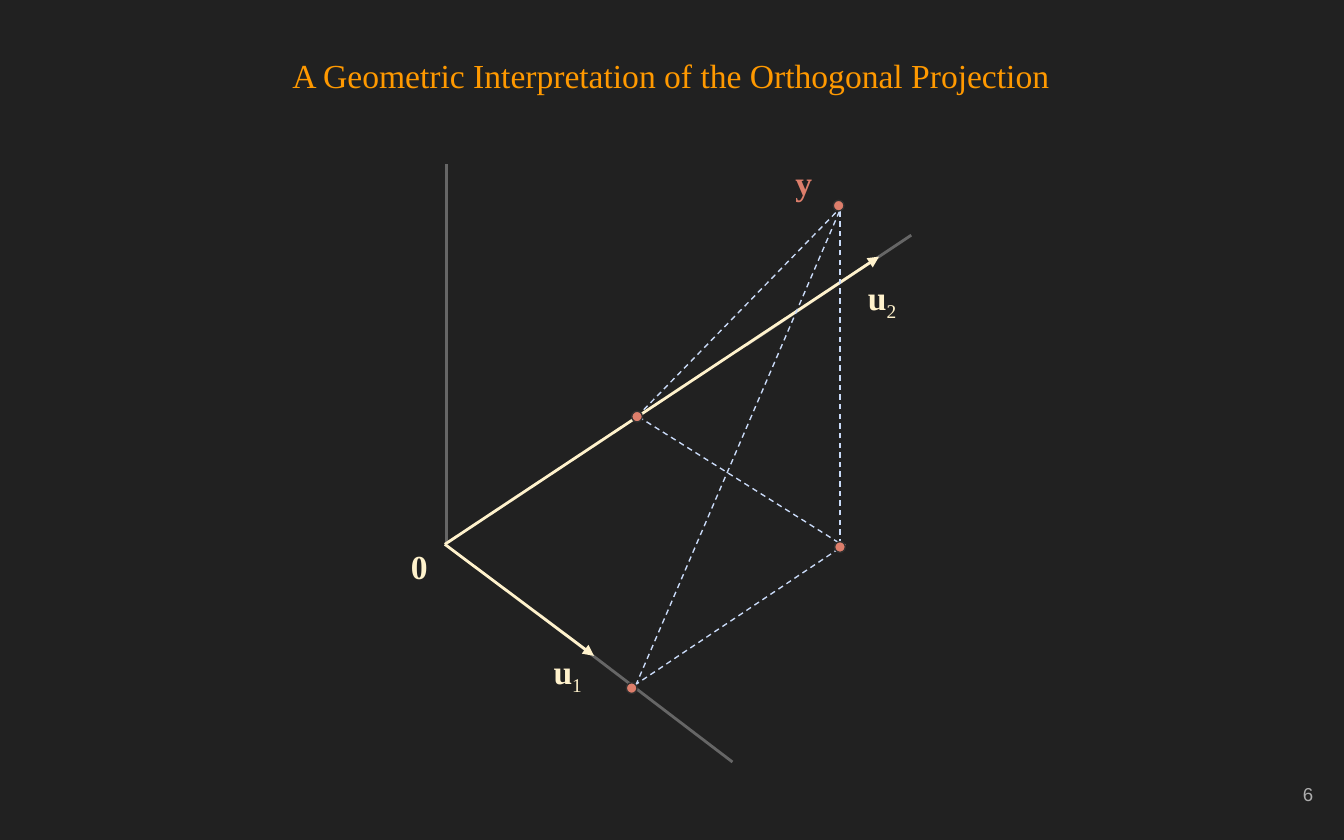
from pptx import Presentation
from pptx.dml.color import RGBColor
from pptx.enum.dml import MSO_LINE
from pptx.enum.shapes import MSO_CONNECTOR, MSO_SHAPE
from pptx.enum.text import MSO_ANCHOR, PP_ALIGN
from pptx.oxml.ns import qn
from pptx.util import Inches, Pt
from lxml.etree import SubElement

BACKGROUND = RGBColor(0x21, 0x21, 0x21)
ORANGE = RGBColor(0xFF, 0x99, 0x00)
CREAM = RGBColor(0xFF, 0xF2, 0xCC)
CORAL = RGBColor(0xDD, 0x7E, 0x6B)
PALE_BLUE = RGBColor(0xC9, 0xDA, 0xF8)
AXIS_GRAY = RGBColor(0x66, 0x66, 0x66)
OUTLINE_GRAY = RGBColor(0x30, 0x30, 0x30)
NUMBER_GRAY = RGBColor(0xAD, 0xAD, 0xAD)
SERIF = "Times New Roman"
DOT_SIZE = 0.08
ORIGIN = (3.31, 4.05)


def add_line(page, start, end, color, width=1.5, dashed=False, arrow=False):
    """Draw a straight line between two points given in inches."""
    ends = [Inches(value) for value in (*start, *end)]
    line = page.shapes.add_connector(MSO_CONNECTOR.STRAIGHT, *ends)
    line.line.color.rgb = color
    line.line.width = Pt(width)
    if dashed:
        line.line.dash_style = MSO_LINE.DASH
    if arrow:
        SubElement(line.line._get_or_add_ln(), qn("a:tailEnd"), type="triangle")
    SubElement(line._element.spPr, qn("a:effectLst"))


def add_dot(page, left, top):
    """Draw a small round point."""
    dot = page.shapes.add_shape(
        MSO_SHAPE.OVAL, Inches(left), Inches(top), Inches(DOT_SIZE), Inches(DOT_SIZE))
    dot.shadow.inherit = False
    dot.fill.solid()
    dot.fill.fore_color.rgb = CORAL
    dot.line.color.rgb = OUTLINE_GRAY
    dot.line.width = Pt(0.75)


def format_box(box, anchor):
    """Set wrapping, margins and vertical anchor of a text shape."""
    frame = box.text_frame
    frame.word_wrap = True
    frame.vertical_anchor = anchor
    frame.margin_left = frame.margin_right = Inches(0.1)
    frame.margin_top = frame.margin_bottom = Inches(0.1)


def format_span(span, size, color, font=SERIF, bold=False):
    """Set the font of a run."""
    span.font.size = Pt(size)
    span.font.name = font
    span.font.color.rgb = color
    span.font.bold = bold


def add_label(page, place, name, color=CREAM, subscript=""):
    """Write a bold vector name with an optional subscript."""
    box = page.shapes.add_textbox(*[Inches(value) for value in place])
    format_box(box, MSO_ANCHOR.TOP)
    para = box.text_frame.paragraphs[0]
    para.text = name
    para.line_spacing = 1.15
    format_span(para.runs[0], 18, color, bold=True)
    if subscript:
        span = para.add_run()
        span.text = subscript
        format_span(span, 18, color)
        span.font._element.set("baseline", "-25000")


def add_title(page, text):
    """Place and format the title placeholder."""
    title = page.shapes.title
    title.left, title.top = Inches(0.48), Inches(0.27)
    title.width, title.height = Inches(9.03), Inches(0.58)
    title.text_frame.text = text
    format_box(title, MSO_ANCHOR.MIDDLE)
    para = title.text_frame.paragraphs[0]
    para.alignment = PP_ALIGN.CENTER
    format_span(para.runs[0], 18, ORANGE)


def add_page_number(page, number):
    """Write the page number at the lower right."""
    box = page.shapes.add_textbox(Inches(9.27), Inches(5.67), Inches(0.6), Inches(0.48))
    format_box(box, MSO_ANCHOR.MIDDLE)
    para = box.text_frame.paragraphs[0]
    para.text = number
    para.alignment = PP_ALIGN.RIGHT
    format_span(para.runs[0], 10, NUMBER_GRAY, "Arial")


def main():
    """Build the slide and save it."""
    deck = Presentation()
    deck.slide_width, deck.slide_height = Inches(10), Inches(6.25)
    page = deck.slides.add_slide(deck.slide_layouts[5])
    page.background.fill.solid()
    page.background.fill.fore_color.rgb = BACKGROUND
    add_title(page, "A Geometric Interpretation of the Orthogonal Projection")
    add_page_number(page, "6")

    axes = [((4.02, 4.58), (5.45, 5.67)), ((5.55, 2.57), (6.78, 1.75)),
            ((3.32, 4.03), (3.32, 1.22))]
    for start, end in axes:
        add_line(page, start, end, AXIS_GRAY)
    for tip in [(6.54, 1.91), (4.42, 4.88)]:
        add_line(page, ORIGIN, tip, CREAM, arrow=True)

    projections = [((4.74, 3.1), (6.26, 1.54)), ((4.73, 5.1), (6.26, 1.54)),
                   ((4.72, 5.1), (6.29, 4.05)), ((4.75, 3.1), (6.26, 4.05)),
                   ((6.25, 4.05), (6.25, 1.55))]
    for start, end in projections:
        add_line(page, start, end, PALE_BLUE, 0.75, dashed=True)
    for left, top in [(6.2, 1.49), (4.66, 5.08), (4.7, 3.06), (6.21, 4.03)]:
        add_dot(page, left, top)

    add_label(page, (5.82, 1.06, 0.41, 0.48), "y", CORAL)
    add_label(page, (6.36, 1.91, 0.68, 0.77), "u", subscript="2")
    add_label(page, (4.02, 4.69, 0.42, 0.48), "u", subscript="1")
    add_label(page, (2.96, 3.92, 0.36, 0.57), "0")
    deck.save("out.pptx")


if __name__ == "__main__":
    main()
